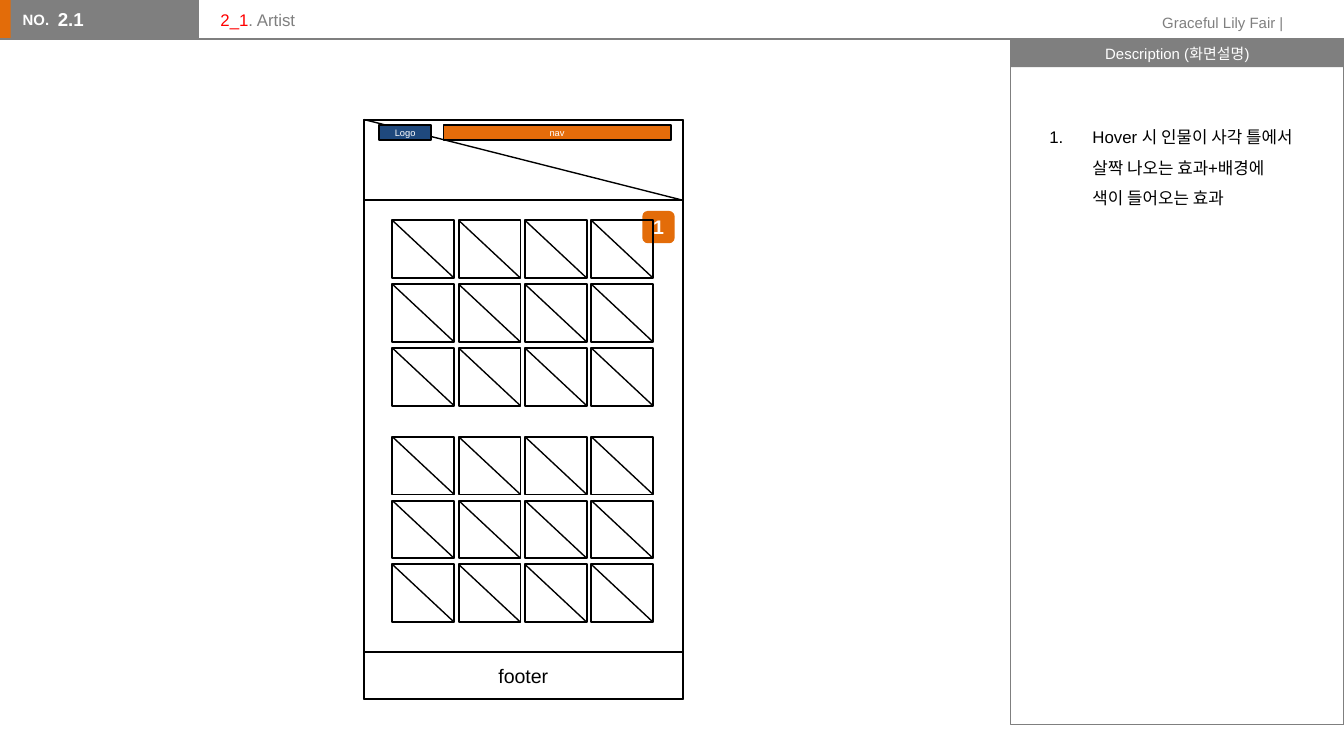
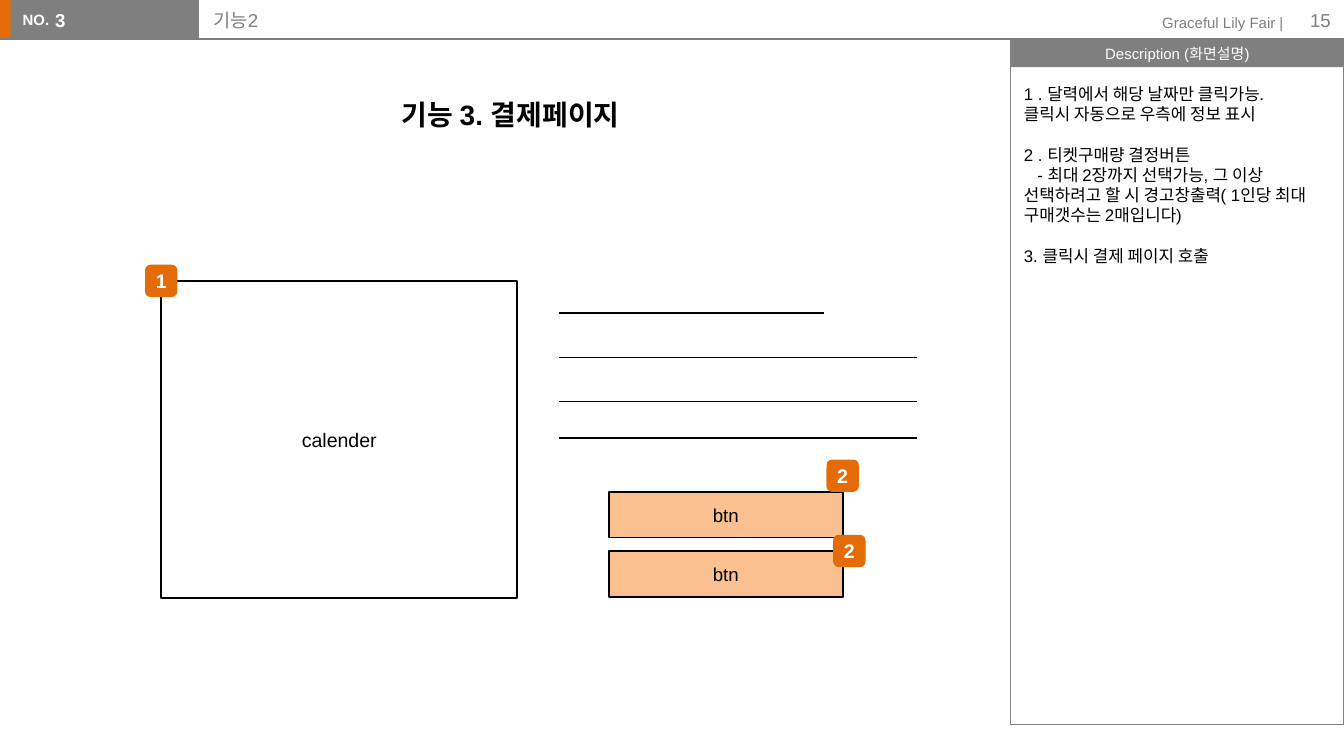
from lxml.etree import SubElement
from pptx import Presentation
from pptx.dml.color import RGBColor
from pptx.enum.shapes import MSO_CONNECTOR, MSO_SHAPE
from pptx.enum.text import MSO_ANCHOR, MSO_AUTO_SIZE, PP_ALIGN
from pptx.oxml.ns import qn
from pptx.util import Inches, Pt

COLORS = {
    "orange": "E36C09", "nav": "E46C0A", "gray": "7F7F7F", "navy": "1F497D",
    "peach": "FAC090", "red": "FF0000", "black": "000000", "white": "FFFFFF",
}
FONT = "Arial"
LEFT, CENTER, RIGHT = PP_ALIGN.LEFT, PP_ALIGN.CENTER, PP_ALIGN.RIGHT
TOP, MIDDLE = MSO_ANCHOR.TOP, MSO_ANCHOR.MIDDLE

WIDTH = 10
HEIGHT = WIDTH * 9 / 16
BAR_H = 0.29
PANEL_X, PANEL_W, PANEL_H = 7.52, 2.48, 5.1
PANEL_HEAD_H = 0.21

# Artist page wireframe
PAGE_X, PAGE_Y, PAGE_W, PAGE_H = 2.71, 0.89, 2.37, 4.31
HERO_H, FOOTER_H = 0.6, 0.35
CELL_W, CELL_H, GRID_X = 0.46, 0.43, 2.92
COL_STEP, ROW_STEP = 1.48 / 3, 0.95 / 2
GRID_COLS, GRID_ROWS, GRID_TOPS = 4, 3, (1.64, 3.25)
MENU = [("Logo", 2.82, 0.39, "navy"), ("nav", 3.3, 1.69, "nav")]
HOVER_NOTE = "Hover 시 인물이 사각 틀에서 살짝 나오는 효과+배경에 색이 들어오는 효과"

# Payment page: text, first-line indent (inches), space before (points)
PAYMENT_NOTES = [
    ("1 . 달력에서 해당 날짜만 클릭가능.", 0, 0),
    ("클릭시 자동으로 우측에 정보 표시", 0, 0),
    ("2 . 티켓구매량 결정버튼", 0, 11),
    ("- 최대 2장까지 선택가능, 그 이상 선택하려고 할 시 경고창출력"
     "( 1인당 최대 구매갯수는 2매입니다)", 0.1, 0),
    ("3. 클릭시 결제 페이지 호출", 0, 11),
]
INFO_X = 4.16
INFO_LINES = [(2.33, 1.97), (2.66, 2.66), (2.99, 2.66), (3.26, 2.66)]
BUTTON_TOPS = (4.1, 3.66)
PAYMENT_BADGES = [("1", 1.08, 1.97), ("2", 6.15, 3.42), ("2", 6.2, 3.98)]


def rgb(name):
    return RGBColor.from_string(COLORS[name])


def set_frame(tf, anchor=TOP, inset=(0.1, 0.05)):
    tf.word_wrap = True
    tf.auto_size = MSO_AUTO_SIZE.NONE
    tf.vertical_anchor = anchor
    tf.margin_left = tf.margin_right = Inches(inset[0])
    tf.margin_top = tf.margin_bottom = Inches(inset[1])


def set_indent(p, margin=0, first=0, number=False):
    """Set paragraph indents in inches, with a black automatic number or no bullet."""
    pPr = p._p.get_or_add_pPr()
    pPr.set("marL", str(Inches(margin)))
    pPr.set("indent", str(Inches(first)))
    if number:
        color = SubElement(pPr, qn("a:buClr"))
        SubElement(color, qn("a:srgbClr"), val=COLORS["black"])
        SubElement(pPr, qn("a:buFont"), typeface=FONT)
        SubElement(pPr, qn("a:buAutoNum"), type="arabicPeriod")
    else:
        SubElement(pPr, qn("a:buNone"))


def write(p, runs, size, align=LEFT, bold=False):
    """Fill a paragraph with (text, colour) runs."""
    p.alignment = align
    for text, color in runs:
        r = p.add_run()
        r.text = text
        r.font.name = FONT
        r.font.size = Pt(size)
        r.font.bold = bold
        r.font.color.rgb = rgb(color)


def add_box(s, x, y, w, h, fill=None, line="black", line_w=1, text="",
            size=10.5, color="black", bold=False, shape=MSO_SHAPE.RECTANGLE):
    sp = s.shapes.add_shape(shape, Inches(x), Inches(y), Inches(w), Inches(h))
    sp.shadow.inherit = False
    if fill:
        sp.fill.solid()
        sp.fill.fore_color.rgb = rgb(fill)
    else:
        sp.fill.background()
    if line:
        sp.line.color.rgb = rgb(line)
        sp.line.width = Pt(line_w)
    else:
        sp.line.fill.background()
    if text:
        set_frame(sp.text_frame, MIDDLE, (0, 0))
        write(sp.text_frame.paragraphs[0], [(text, color)], size, CENTER, bold)
    return sp


def add_line(s, x1, y1, x2, y2, color="black"):
    cn = s.shapes.add_connector(
        MSO_CONNECTOR.STRAIGHT, Inches(x1), Inches(y1), Inches(x2), Inches(y2))
    cn.line.color.rgb = rgb(color)
    cn.line.width = Pt(0.75)
    SubElement(cn.element.spPr, qn("a:effectLst"))


def add_crossed_box(s, x, y, w, h):
    add_box(s, x, y, w, h)
    add_line(s, x, y, x + w, y + h)


def add_text(s, x, y, w, h, anchor=TOP, inset=(0.1, 0.05)):
    tb = s.shapes.add_textbox(Inches(x), Inches(y), Inches(w), Inches(h))
    set_frame(tb.text_frame, anchor, inset)
    return tb.text_frame


def add_badge(s, number, x, y):
    add_box(s, x, y, 0.24, 0.24, "orange", None, text=number, color="white",
            bold=True, shape=MSO_SHAPE.ROUNDED_RECTANGLE)


def fill_placeholder(ph, box, runs, size, bold, anchor, inset):
    ph.left, ph.top, ph.width, ph.height = (Inches(v) for v in box)
    set_frame(ph.text_frame, anchor, inset)
    p = ph.text_frame.paragraphs[0]
    set_indent(p)
    p.space_before = Pt(0)
    write(p, runs, size, LEFT, bold)


def add_frame(s):
    """Draw the header and description panel, then move them to the layout."""
    add_box(s, -0.01, 0, 0.12, BAR_H, "orange", None)
    add_box(s, 0.08, 0, 1.4, BAR_H, "gray", None)
    tf = add_text(s, 0.07, 0.03, 0.41, 0.24)
    tf.word_wrap = False
    write(tf.paragraphs[0], [("NO.", "white")], 8, LEFT, True)
    add_line(s, 0, BAR_H, 7.66, BAR_H, "gray")
    add_box(s, PANEL_X, BAR_H, PANEL_W, PANEL_HEAD_H, "gray", None,
            text="Description (화면설명)", size=8, color="white")
    add_box(s, PANEL_X, BAR_H, PANEL_W, PANEL_H, line="gray", line_w=0.75)
    tf = add_text(s, 8.13, 0.05, 1.52, 0.24)
    write(tf.paragraphs[0], [("Graceful Lily Fair |", "gray")], 8, RIGHT)
    for sp in list(s.shapes):
        if not sp.is_placeholder:
            s.slide_layout.shapes.element.append(sp.element)


def build_artist(s):
    fill_placeholder(s.shapes.title, (1.54, 0.02, 5.61, 0.32),
                     [("2_1", "red"), (". Artist", "gray")], 9, False, TOP, (0.1, 0.05))
    fill_placeholder(s.placeholders[1], (0.43, 0.01, 1.1, 0.31),
                     [("2.1", "white")], 10, True, TOP, (0, 0.05))

    p = add_text(s, 7.53, 0.82, 2.2, 1.01).paragraphs[0]
    set_indent(p, 0.5, -0.32, number=True)
    p.line_spacing = 1.5
    write(p, [(HOVER_NOTE, "black")], 9)

    add_box(s, PAGE_X, PAGE_Y, PAGE_W, PAGE_H)
    add_crossed_box(s, PAGE_X, PAGE_Y, PAGE_W, HERO_H)
    for label, x, w, fill in MENU:
        add_box(s, x, 0.93, w, 0.11, fill, text=label, size=5, color="white")
    add_box(s, PAGE_X, PAGE_Y + PAGE_H - FOOTER_H, PAGE_W, FOOTER_H, "white",
            text="footer")
    add_badge(s, "1", 4.78, 1.57)
    for top in GRID_TOPS:
        for row in range(GRID_ROWS):
            for col in range(GRID_COLS):
                add_crossed_box(s, GRID_X + col * COL_STEP, top + row * ROW_STEP,
                                CELL_W, CELL_H)


def build_payment(s):
    tf = add_text(s, 9.4, 0, 0.6, 0.3, MIDDLE)
    write(tf.paragraphs[0], [("15", "gray")], 10, RIGHT)
    fill_placeholder(s.shapes.title, (1.49, 0, 5.61, 0.3),
                     [("기능2", "gray")], 10, False, MIDDLE, (0.1, 0.1))
    fill_placeholder(s.placeholders[1], (0.31, 0, 1.1, 0.3),
                     [("3", "white")], 10, True, MIDDLE, (0.1, 0.1))

    p = add_text(s, 0, 0.52, PANEL_X, 0.53, MIDDLE).paragraphs[0]
    set_indent(p, 0.31, -0.23)
    p.line_spacing = 1.5
    write(p, [("기능 3. 결제페이지", "black")], 15, CENTER, True)

    tf = add_text(s, PANEL_X, 0.52, PANEL_W, 4.86, TOP, (0.1, 0.1))
    for i, (text, first, before) in enumerate(PAYMENT_NOTES):
        p = tf.add_paragraph() if i else tf.paragraphs[0]
        set_indent(p, 0, first)
        p.space_before = Pt(before)
        write(p, [(text, "black")], 9)

    add_box(s, 1.2, 2.09, 2.65, 2.36, text="calender")
    for y, length in INFO_LINES:
        add_line(s, INFO_X, y, INFO_X + length, y)
    for y in BUTTON_TOPS:
        add_box(s, 4.53, y, 1.74, 0.34, "peach", text="btn", size=10)
    for badge in PAYMENT_BADGES:
        add_badge(s, *badge)


def main():
    prs = Presentation()
    prs.slide_width, prs.slide_height = Inches(WIDTH), Inches(HEIGHT)
    layout = prs.slide_layouts[1]
    artist, payment = (prs.slides.add_slide(layout) for _ in range(2))
    add_frame(artist)
    build_artist(artist)
    build_payment(payment)
    prs.save("out.pptx")


if __name__ == "__main__":
    main()
